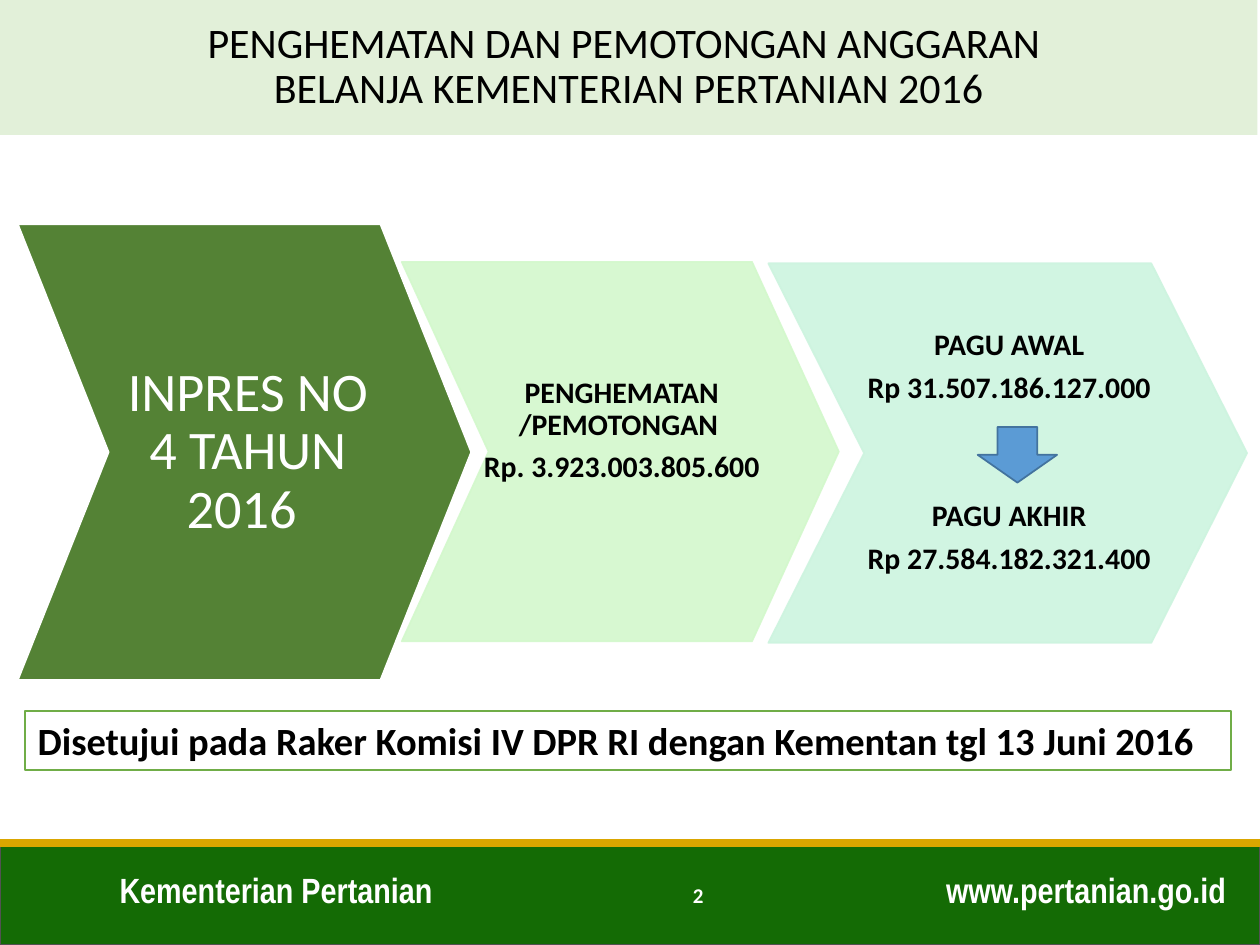
from dataclasses import dataclass, field

from lxml.etree import SubElement
from pptx import Presentation
from pptx.dml.color import RGBColor as Color
from pptx.enum.shapes import MSO_CONNECTOR as Connector, MSO_SHAPE as Preset
from pptx.enum.text import MSO_ANCHOR as Anchor, PP_ALIGN as Align
from pptx.oxml.ns import qn
from pptx.util import Cm, Pt


@dataclass(frozen=True)
class Theme:
    body: str = "Calibri"
    narrow: str = "Arial Narrow"
    black: str = "000000"
    white: str = "FFFFFF"
    title_band: str = "E2F0D9"
    footer: str = "146B05"
    footer_edge: str = "525252"
    gold: str = "DAA600"
    decree: str = "548235"
    saving: str = "D3F8CC"
    ceiling: str = "CDF4DF"
    arrow: str = "5B9BD5"
    arrow_edge: str = "43739E"
    note_edge: str = "70AD47"
    decree_size: float = 31
    title_size: float = 24
    note_size: float = 22
    footer_size: float = 20
    amount_size: float = 17
    number_size: float = 12


THEME = Theme()


@dataclass(frozen=True)
class Area:
    left: float
    top: float
    width: float
    height: float

    def lengths(self) -> tuple:
        return Cm(self.left), Cm(self.top), Cm(self.width), Cm(self.height)


@dataclass(frozen=True)
class Style:
    size: float
    color: str = THEME.black
    bold: bool = True
    font: str = THEME.body
    align: Align = Align.LEFT
    anchor: Anchor = Anchor.TOP
    spacing: float = 1.0
    after: float = 0
    insets: tuple = (0.25, 0.13, 0.25, 0.13)


@dataclass(frozen=True)
class Chevron:
    area: Area
    notch: float
    fill: str
    edge: str
    opacity: int
    style: Style
    lines: tuple
    gaps: dict = field(default_factory=dict)


@dataclass(frozen=True)
class Label:
    area: Area
    text: str
    style: Style


def apply(target, values: dict) -> None:
    for name, value in values.items():
        setattr(target, name, value)


def write(shape, lines: tuple, style: Style, gaps: dict | None = None) -> None:
    frame = shape.text_frame
    left, top, right, bottom = map(Cm, style.insets)
    apply(frame, {"word_wrap": True, "vertical_anchor": style.anchor,
                  "margin_left": left, "margin_top": top,
                  "margin_right": right, "margin_bottom": bottom})
    for index, line in enumerate(lines):
        para = frame.add_paragraph() if index else frame.paragraphs[0]
        apply(para, {"alignment": style.align, "line_spacing": style.spacing,
                     "space_before": Pt((gaps or {}).get(index, 0)),
                     "space_after": Pt(style.after)})
        for part_index, part in enumerate(line.split("\n")):
            if part_index:
                para.add_line_break()
            span = para.add_run()
            span.text = part
            apply(span.font, {"name": style.font, "size": Pt(style.size), "bold": style.bold})
            span.font.color.rgb = Color.from_string(style.color)


def paint(shape, fill: str, edge: str | None = None, opacity: int = 100) -> None:
    shape.shadow.inherit = False
    shape.fill.solid()
    shape.fill.fore_color.rgb = Color.from_string(fill)
    if edge:
        shape.line.color.rgb = Color.from_string(edge)
        shape.line.width = Pt(1)
    else:
        shape.line.fill.background()
    if opacity < 100:
        for color in list(shape.element.spPr.iter(qn("a:srgbClr"))):
            SubElement(color, qn("a:alpha")).set("val", str(opacity * 1000))


def add_preset(page, preset: Preset, area: Area, fill: str, edge: str | None = None):
    shape = page.shapes.add_shape(preset, *area.lengths())
    paint(shape, fill, edge)
    return shape


def add_label(page, label: Label) -> None:
    box = page.shapes.add_textbox(*label.area.lengths())
    write(box, (label.text,), label.style)


def add_chevron(page, chevron: Chevron) -> None:
    left, top, width, height = chevron.area.lengths()
    notch = Cm(chevron.notch)
    right, middle, bottom = left + width, top + height // 2, top + height
    builder = page.shapes.build_freeform(left, top)
    builder.add_line_segments([(right - notch, top), (right, middle), (right - notch, bottom),
                               (left, bottom), (left + notch, middle)], close=True)
    shape = builder.convert_to_shape()
    paint(shape, chevron.fill, chevron.edge, chevron.opacity)
    write(shape, chevron.lines, chevron.style, chevron.gaps)


def add_rule(page, y: float, width: float) -> None:
    rule = page.shapes.add_connector(Connector.STRAIGHT, 0, Cm(y), Cm(width), Cm(y))
    rule.line.color.rgb = Color.from_string(THEME.gold)
    rule.line.width = Pt(4.5)
    SubElement(rule.element.spPr, qn("a:effectLst"))


def amount_style(bottom: float) -> Style:
    return Style(THEME.amount_size, align=Align.CENTER, anchor=Anchor.MIDDLE,
                 spacing=0.9, after=6, insets=(1.63, 0.03, 1.57, bottom))


TITLE = Style(THEME.title_size, bold=False, align=Align.CENTER, anchor=Anchor.MIDDLE, spacing=0.9)
DECREE = Style(THEME.decree_size, THEME.white, False, align=Align.CENTER, anchor=Anchor.MIDDLE,
               spacing=0.9, after=11, insets=(2.01, 0.05, 1.88, 0.05))
FOOTER_LEFT = Style(THEME.footer_size, THEME.white, font=THEME.narrow)
FOOTER_RIGHT = Style(THEME.footer_size, THEME.white, font=THEME.narrow, align=Align.RIGHT)
NUMBER = Style(THEME.number_size, THEME.white, align=Align.RIGHT, anchor=Anchor.MIDDLE)

LABELS = (
    Label(Area(2.16, 17.37, 9.3, 1.12), "Kementerian Pertanian", FOOTER_LEFT),
    Label(Area(17.91, 17.37, 7.06, 1.12), "www.pertanian.go.id", FOOTER_RIGHT),
    Label(Area(8.71, 17.53, 5.72, 1.02), "2", NUMBER),
)

CHEVRONS = (
    Chevron(Area(0.36, 4.52, 9.14, 9.19), 1.83, THEME.decree, THEME.white, 100, DECREE,
            ("INPRES NO 4 TAHUN 2016 ",)),
    Chevron(Area(8.1, 5.28, 8.81, 7.65), 1.75, THEME.saving, THEME.saving, 90, amount_style(0.87),
            ("PENGHEMATAN /PEMOTONGAN ", "Rp. 3.923.003.805.600")),
    Chevron(Area(15.49, 5.31, 9.65, 7.65), 1.93, THEME.ceiling, THEME.ceiling, 90,
            amount_style(0.03),
            ("PAGU AWAL", "Rp 31.507.186.127.000", "PAGU AKHIR", "Rp 27.584.182.321.400"),
            {2: 49}),
)


def main() -> None:
    deck = Presentation()
    apply(deck, {"slide_width": Cm(25.4), "slide_height": Cm(19.05)})
    page = deck.slides.add_slide(deck.slide_layouts[6])

    add_preset(page, Preset.RECTANGLE, Area(0, 16.99, 25.4, 2.06), THEME.footer, THEME.footer_edge)
    add_rule(page, 16.99, 25.4)
    for label in LABELS:
        add_label(page, label)

    title = add_preset(page, Preset.RECTANGLE, Area(0, 0, 25.35, 2.72), THEME.title_band)
    write(title, ("PENGHEMATAN DAN PEMOTONGAN ANGGARAN \nBELANJA KEMENTERIAN PERTANIAN 2016",), TITLE)

    for chevron in CHEVRONS:
        add_chevron(page, chevron)
    add_preset(page, Preset.DOWN_ARROW, Area(19.71, 8.61, 1.6, 1.12), THEME.arrow, THEME.arrow_edge)

    note = add_preset(page, Preset.RECTANGLE, Area(0.51, 14.33, 24.31, 1.19),
                      THEME.white, THEME.note_edge)
    write(note, ("Disetujui pada Raker Komisi IV DPR RI dengan Kementan tgl 13 Juni 2016",),
          Style(THEME.note_size))

    deck.save("out.pptx")


if __name__ == "__main__":
    main()
